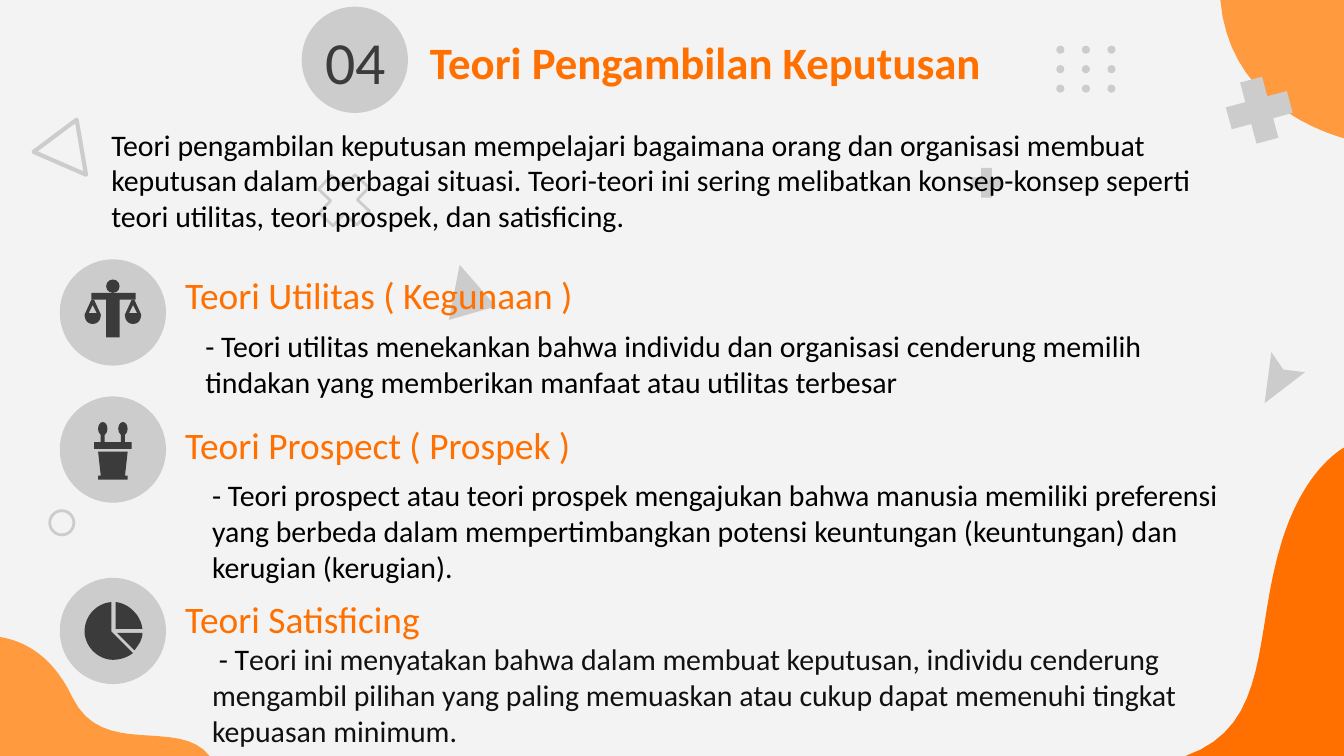
from dataclasses import dataclass

from pptx import Presentation
from pptx.dml.color import RGBColor
from pptx.enum import shapes, text
from pptx.util import Inches, Pt

ORANGE = RGBColor(0xFF, 0x70, 0x00)
LIGHT_ORANGE = RGBColor(0xFF, 0x9A, 0x3F)
GREY = RGBColor(0xCC, 0xCC, 0xCC)
DARK = RGBColor(0x3B, 0x3B, 0x3B)
BLACK = RGBColor(0x00, 0x00, 0x00)
NEAR_BLACK = RGBColor(0x11, 0x11, 0x11)
PAPER = RGBColor(0xF3, 0xF3, 0xF3)

W, H = 10, 10 * 9 / 16
BADGE = 0.79
BADGE_X = 0.84
CURVE_STEPS = 16

# A contour is a start point followed by lines (x, y) and Bézier curves (x1, y1, x2, y2, x, y)
Contour = list[tuple[float, ...]]
Box = tuple[float, float, float, float]
Parts = list[tuple[str, RGBColor]]


@dataclass
class Section:
    badge_top: float
    heading: str
    heading_top: float
    body: Parts
    body_box: Box


SECTIONS = [
    Section(1.93, "Teori Utilitas ( Kegunaan )", 1.92,
            [("- Teori utilitas menekankan bahwa individu dan organisasi cenderung memilih "
              "tindakan yang memberikan manfaat atau utilitas terbesar", BLACK)],
            (1.43, 2.39, 7.5, 0.64)),
    Section(2.95, "Teori Prospect ( Prospek )", 3.04,
            [("- Teori prospect atau teori prospek mengajukan bahwa manusia memiliki preferensi "
              "yang berbeda dalam mempertimbangkan potensi keuntungan (keuntungan) dan "
              "kerugian (kerugian).", BLACK)],
            (1.48, 3.5, 7.81, 0.91)),
    Section(4.3, "Teori Satisficing", 4.33,
            [(" - T", BLACK),
             ("eori ini menyatakan bahwa dalam membuat keputusan, individu cenderung "
              "mengambil pilihan yang paling memuaskan atau cukup dapat memenuhi tingkat "
              "kepuasan minimum.", NEAR_BLACK)],
            (1.48, 4.72, 7.65, 0.91)),
]

prs = Presentation()
prs.slide_width, prs.slide_height = Inches(W), Inches(H)
slide = prs.slides.add_slide(prs.slide_layouts[6])
slide.background.fill.solid()
slide.background.fill.fore_color.rgb = PAPER


def paint(shape, color: RGBColor, outline: float = 0) -> None:
    """Fill the shape, or only outline it when a line width is given."""
    shape.shadow.inherit = False
    if outline:
        shape.fill.background()
        shape.line.color.rgb = color
        shape.line.width = Pt(outline)
    else:
        shape.fill.solid()
        shape.fill.fore_color.rgb = color
        shape.line.fill.background()


def flatten(contour: Contour) -> list[tuple[int, int]]:
    points = [contour[0]]
    for step in contour[1:]:
        if len(step) == 2:
            points.append(step)
            continue
        start, c1, c2, end = points[-1], step[:2], step[2:4], step[4:]
        for i in range(1, CURVE_STEPS + 1):
            t = i / CURVE_STEPS
            u = 1 - t
            points.append(tuple(
                u**3 * a + 3 * u * u * t * b + 3 * u * t * t * c + t**3 * d
                for a, b, c, d in zip(start, c1, c2, end)))
    return [(Inches(x), Inches(y)) for x, y in points]


def draw_outline(color: RGBColor, *contours: Contour, outline: float = 0) -> None:
    first, *others = [flatten(contour) for contour in contours]
    builder = slide.shapes.build_freeform(*first[0])
    builder.add_line_segments(first[1:], close=True)
    for points in others:
        builder.move_to(*points[0])
        builder.add_line_segments(points[1:], close=True)
    paint(builder.convert_to_shape(), color, outline)


def draw_preset(kind: shapes.MSO_SHAPE, left: float, top: float, width: float,
                height: float, color: RGBColor, outline: float = 0):
    shape = slide.shapes.add_shape(
        kind, Inches(left), Inches(top), Inches(width), Inches(height))
    paint(shape, color, outline)
    return shape


def draw_circle(left: float, top: float, size: float, color: RGBColor, outline: float = 0) -> None:
    draw_preset(shapes.MSO_SHAPE.OVAL, left, top, size, size, color, outline)


def draw_cross(cx: float, cy: float, size: float, angle: float, outline: float = 0) -> None:
    cross = draw_preset(shapes.MSO_SHAPE.CROSS, cx - size / 2, cy - size / 2,
                        size, size, GREY, outline)
    cross.adjustments[0] = 0.32
    cross.rotation = angle


def write(parts: Parts, box: Box, size: float, bold: bool = False, title: bool = False,
          align: text.PP_ALIGN = text.PP_ALIGN.LEFT) -> None:
    frame = slide.shapes.add_textbox(*(Inches(v) for v in box)).text_frame
    frame.word_wrap = True
    if title:
        frame.vertical_anchor = text.MSO_ANCHOR.MIDDLE
        frame.margin_top = frame.margin_bottom = Inches(0.1)
    else:
        frame.auto_size = text.MSO_AUTO_SIZE.SHAPE_TO_FIT_TEXT
    paragraph = frame.paragraphs[0]
    paragraph.alignment = align
    for content, color in parts:
        run = paragraph.add_run()
        run.text = content
        run.font.name, run.font.size, run.font.bold = "Calibri", Pt(size), bold
        run.font.color.rgb = color


# Corner blobs
draw_outline(LIGHT_ORANGE, [(W, 1.03), (9.73, 0.95, 9.14, 0.7, 9.08, 0), (W, 0)])
draw_outline(ORANGE, [(W, H), (8.82, H), (9.47, 5.4, 9.32, 4.71, 9.54, 4.02),
                      (9.66, 3.64, 9.84, 3.43, W, 3.33)])
draw_outline(LIGHT_ORANGE, [(0, H), (0, 4.74), (0.12, 4.76, 0.37, 4.83, 0.54, 5.19),
                            (0.76, 5.65, 1.33, 5.33, 1.56, H)])

# Scattered ornaments
draw_cross(7.34, 1.36, 0.22, 0)
draw_circle(0.37, 3.8, 0.18, GREY, outline=1.5)
draw_outline(GREY, [(9.46, 2.62), (9.41, 3), (9.71, 2.77), (9.55, 2.75)])
draw_outline(GREY, [(0.64, 1.3), (0.57, 0.89), (0.25, 1.13)], outline=2.25)
draw_outline(GREY, [(3.42, 1.97), (3.34, 2.38), (3.69, 2.28)])
for row in range(3):
    for column in range(3):
        draw_circle(7.86 + 0.19 * column, 0.34 + 0.29 / 2 * row, 0.06, GREY)
draw_cross(2.56, 1.49, 0.39, 43, outline=1.5)
draw_cross(9.37, 0.82, 0.47, -15)

# Title and introduction
draw_circle(2.64 - BADGE / 2, 0.05, BADGE, GREY)
write([("04", DARK)], (2.21, 0.19, 0.87, 0.52), 32, title=True, align=text.PP_ALIGN.CENTER)
write([("Teori Pengambilan Keputusan", ORANGE)], (3.1, 0.19, 4.7, 0.54), 24,
      bold=True, title=True)
write([("Teori pengambilan keputusan mempelajari bagaimana orang dan organisasi membuat "
        "keputusan dalam berbagai situasi. Teori-teori ini sering melibatkan konsep-konsep "
        "seperti teori utilitas, teori prospek, dan satisficing.", BLACK)],
      (0.73, 0.89, 8.7, 0.91), 16)

# Theory sections
for section in SECTIONS:
    draw_circle(BADGE_X - BADGE / 2, section.badge_top, BADGE, GREY)
    write([(section.heading, ORANGE)], (1.28, section.heading_top, 4, 0.54), 20, title=True)
    write(section.body, section.body_box, 16)

# Scales icon: head, body with beam, two pans
draw_circle(0.79, 2.08, 0.1, DARK)
draw_outline(DARK, [(0.68, 2.18), (1.01, 2.18), (1.01, 2.23), (0.89, 2.23), (0.89, 2.51),
                    (0.79, 2.51), (0.79, 2.23), (0.68, 2.23)])
for pan_x in (0.69, 0.99):
    draw_outline(DARK,
                 [(pan_x - 0.01, 2.23), (pan_x - 0.06, 2.34),
                  (pan_x - 0.06, 2.38, pan_x - 0.04, 2.41, pan_x, 2.41),
                  (pan_x + 0.04, 2.41, pan_x + 0.06, 2.38, pan_x + 0.06, 2.34),
                  (pan_x + 0.01, 2.23)],
                 [(pan_x, 2.27), (pan_x + 0.03, 2.33), (pan_x - 0.03, 2.33)])

# Lectern icon: stand, desk, two microphones
draw_outline(DARK, [(0.73, 3.36), (0.75, 3.54), (0.73, 3.54), (0.73, 3.57), (0.95, 3.57),
                    (0.95, 3.54), (0.93, 3.54), (0.95, 3.36)])
draw_preset(shapes.MSO_SHAPE.RECTANGLE, 0.7, 3.29, 0.28, 0.05, DARK)
for mic_x in (0.73, 0.88):
    draw_preset(shapes.MSO_SHAPE.OVAL, mic_x, 3.14, 0.07, 0.1, DARK)
    draw_preset(shapes.MSO_SHAPE.RECTANGLE, mic_x + 0.02, 3.22, 0.03, 0.08, DARK)

# Pie icon: large part and two slices
draw_outline(DARK, [(0.83, 4.48), (0.72, 4.49, 0.63, 4.58, 0.63, 4.7),
                    (0.63, 4.81, 0.73, 4.91, 0.84, 4.91),
                    (0.9, 4.91, 0.95, 4.89, 0.99, 4.86), (0.83, 4.7)])
draw_outline(DARK, [(0.87, 4.71), (1, 4.84), (1.03, 4.8, 1.06, 4.76, 1.06, 4.71)])
draw_outline(DARK, [(0.86, 4.48), (0.86, 4.68), (1.06, 4.68),
                    (1.05, 4.58, 0.96, 4.49, 0.86, 4.48)])

prs.save("out.pptx")
